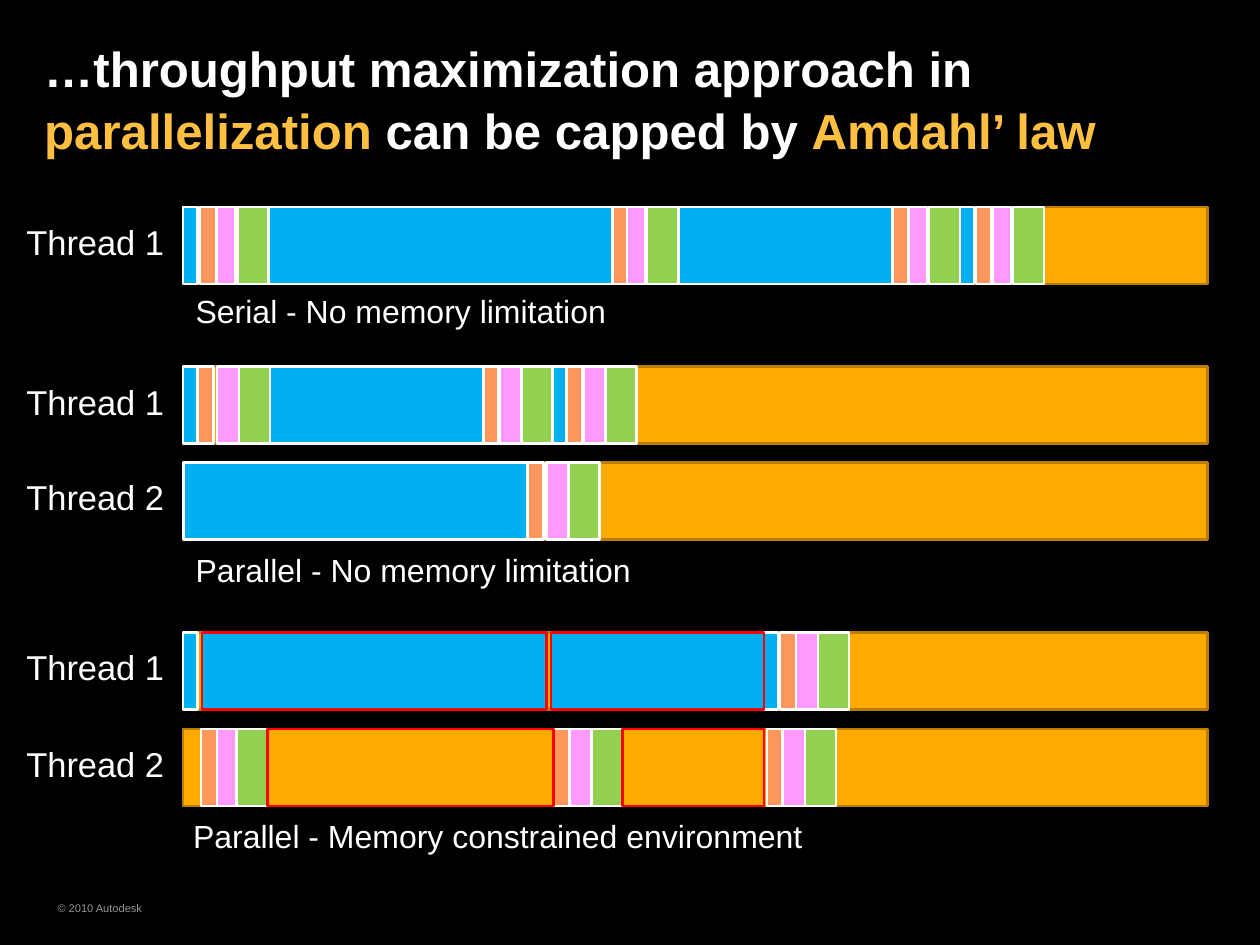
"""Build a slide comparing thread timelines with and without memory limits."""
from pptx import Presentation
from pptx import util as u
from pptx.dml import color
from pptx.enum import shapes, text

WHITE, GOLD = "FFFFFF", "FFBF40"
IDLE, IDLE_EDGE, WAIT = "FFAA00", "BD7E00", "FF0000"
READ, SETUP, SOLVE, STORE = "00B0F0", "FF965C", "FF99FF", "92D050"
BAR_LEFT, BAR_WIDTH, BAR_HEIGHT = 2.07, 11.57, 0.87
SETUP_WIDTH, STORE_WIDTH = 0.18, 0.35
SHORT, MEDIUM, LONG = 0.16, 2.41, 3.89

deck = Presentation()
deck.slide_width, deck.slide_height = u.Inches(14.23), u.Inches(10.67)
page = deck.slides.add_slide(deck.slide_layouts[6])
page.background.fill.solid()
page.background.fill.fore_color.rgb = color.RGBColor.from_string("000000")


def add_bar(left, top, width, fill, edge=WHITE):
    """Draw one timeline segment; a fill of None leaves it open."""
    bar = page.shapes.add_shape(
        shapes.MSO_SHAPE.RECTANGLE,
        *map(u.Inches, (left, top, width, BAR_HEIGHT)))
    bar.shadow.inherit = False
    if fill:
        bar.fill.solid()
        bar.fill.fore_color.rgb = color.RGBColor.from_string(fill)
    else:
        bar.fill.background()
    bar.line.color.rgb = color.RGBColor.from_string(edge)
    bar.line.width = u.Pt(2)


def add_text(place, spans, size, inset=(0, 0), bold=False, wrap=True,
             anchor=text.MSO_ANCHOR.TOP):
    """Write one paragraph of (wording, colour) spans and return it."""
    frame = page.shapes.add_textbox(*map(u.Inches, place)).text_frame
    frame.word_wrap = wrap
    frame.vertical_anchor = anchor
    frame.margin_left = frame.margin_right = u.Inches(inset[0])
    frame.margin_top = frame.margin_bottom = u.Inches(inset[1])
    para = frame.paragraphs[0]
    para.font.name, para.font.size, para.font.bold = "Arial", u.Pt(size), bold
    for wording, hue in spans:
        span = para.add_run()
        span.text = wording
        span.font.color.rgb = color.RGBColor.from_string(hue)
    return para


add_text((0.65, 10.14, 3.17, 0.22), [("© 2010 Autodesk", "969696")], 9,
         anchor=text.MSO_ANCHOR.MIDDLE)
title = add_text(
    (0.5, 0.21, 13.24, 1.78),
    [("…throughput maximization approach in ", WHITE),
     ("parallelization", GOLD),
     (" can be capped by ", WHITE),
     ("Amdahl’ law", GOLD)],
    40, bold=True, anchor=text.MSO_ANCHOR.MIDDLE)
title.line_spacing = 1.05

# label, top, solve width, (setup left, solve left), (read left, width), (wait left, width)
lanes = [
    ("Thread 1", 2.34, 0.21,
     [(2.26, 2.45), (6.9, 7.08), (10.08, 10.26), (11.02, 11.21)],
     [(7.67, MEDIUM), (3.03, LONG), (2.07, SHORT), (10.84, SHORT)], []),
    ("Thread 1", 4.14, 0.25,
     [(2.23, 2.45), (5.45, 5.64), (6.4, 6.59)],
     [(6.24, SHORT), (2.07, SHORT), (3.05, MEDIUM)], []),
    ("Thread 2", 5.22, 0.25, [(5.96, 6.17)], [(2.07, LONG)], []),
    ("Thread 1", 7.14, 0.25, [(8.81, 8.99)],
     [(8.63, SHORT), (2.28, LONG), (2.07, SHORT), (6.22, MEDIUM)],
     [(2.28, LONG), (6.22, MEDIUM)]),
    ("Thread 2", 8.23, 0.25,
     [(2.27, 2.42), (6.25, 6.43), (8.66, 8.84)], [],
     [(3.02, 3.23), (7.03, 1.6)]),
]
for label, top, solve_width, tasks, reads, waits in lanes:
    add_text((0.2, top + 0.11, 1.87, 0.57), [(label, WHITE)], 28, (0.1, 0.05))
    add_bar(BAR_LEFT, top, BAR_WIDTH, IDLE, IDLE_EDGE)
    for setup_left, solve_left in tasks:
        add_bar(solve_left, top, solve_width, SOLVE)
        add_bar(setup_left, top, SETUP_WIDTH, SETUP)
        add_bar(solve_left + max(solve_width, 0.23), top, STORE_WIDTH, STORE)
    for left, width in reads:
        add_bar(left, top, width, READ)
    for left, width in waits:
        add_bar(left, top, width, None, WAIT)

captions = [
    (2.07, 3.22, 4.97, "Serial - No memory limitation"),
    (2.07, 6.15, 5.25, "Parallel - No memory limitation"),
    (2.04, 9.15, 7.25, "Parallel - Memory constrained environment"),
]
for left, top, width, wording in captions:
    add_text((left, top, width, 0.58), [(wording, WHITE)], 26, (0.14, 0.07),
             wrap=False)

deck.save("out.pptx")
